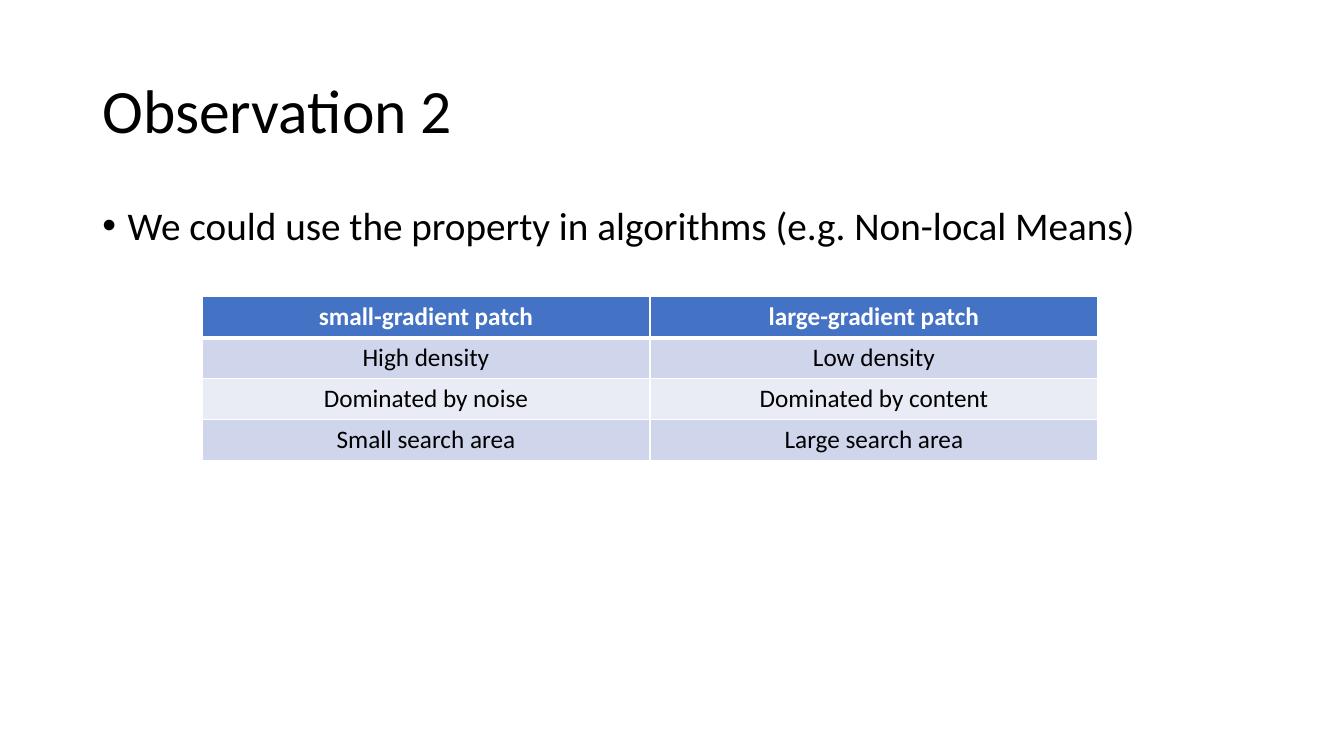
from lxml.etree import SubElement
from pptx import Presentation
from pptx.dml.color import RGBColor
from pptx.enum.text import MSO_ANCHOR as Anchor, PP_ALIGN as Align
from pptx.oxml.ns import qn
from pptx.util import Cm, Pt

FONT = "Calibri"
BLACK, WHITE = "000000", "FFFFFF"
HEADER_FILL = "4472C4"
BAND_FILLS = ["CFD5EA", "E9EBF5"]
PATCH_ROWS = [
    ["small-gradient patch", "large-gradient patch"],
    ["High density", "Low density"],
    ["Dominated by noise", "Dominated by content"],
    ["Small search area", "Large search area"],
]


def rgb(color):
    return RGBColor.from_string(color)


def write(text_frame, text, size, color=BLACK, bold=False, **paragraph_format):
    """Fill the first paragraph with one formatted run and return it."""
    paragraph = text_frame.paragraphs[0]
    for name, value in paragraph_format.items():
        setattr(paragraph, name, value)
    run = paragraph.add_run()
    run.text = text
    for name, value in {"name": FONT, "size": Pt(size), "bold": bold}.items():
        setattr(run.font, name, value)
    run.font.color.rgb = rgb(color)
    return paragraph


def add_text_frame(slide, box, anchor):
    text_frame = slide.shapes.add_textbox(*map(Cm, box)).text_frame
    text_frame.word_wrap = True
    text_frame.vertical_anchor = anchor
    return text_frame


def add_title(slide, box, text):
    write(add_text_frame(slide, box, Anchor.MIDDLE), text, 44, line_spacing=0.9)


def add_bullet(slide, box, text):
    paragraph = write(add_text_frame(slide, box, Anchor.TOP), text, 28,
                      line_spacing=0.9, space_before=Pt(10))
    properties = paragraph._p.get_or_add_pPr()
    indent = Cm(0.64)
    properties.set("marL", str(indent))
    properties.set("indent", str(-indent))
    SubElement(properties, qn("a:buFont"), typeface="Arial")
    SubElement(properties, qn("a:buChar"), char="•")


def set_borders(cell, widths):
    """Draw white borders; widths maps a side (L, R, T, B) to points."""
    properties = cell._tc.get_or_add_tcPr()
    for side, width in widths.items():
        line = SubElement(properties, qn(f"a:ln{side}"), w=str(Pt(width)))
        fill = SubElement(line, qn("a:solidFill"))
        SubElement(fill, qn("a:srgbClr"), val=WHITE)


def add_patch_table(slide, box, rows):
    frame = slide.shapes.add_table(len(rows), len(rows[0]), *map(Cm, box))
    for row_index, texts in enumerate(rows):
        header = row_index == 0
        fill = HEADER_FILL if header else BAND_FILLS[(row_index - 1) % 2]
        widths = {"L": 1, "R": 1, "T": 3 if row_index == 1 else 1,
                  "B": 3 if header else 1}
        for column_index, text in enumerate(texts):
            cell = frame.table.cell(row_index, column_index)
            set_borders(cell, widths)
            cell.fill.solid()
            cell.fill.fore_color.rgb = rgb(fill)
            write(cell.text_frame, text, 18, WHITE if header else BLACK,
                  bold=header, alignment=Align.CENTER)


def main():
    presentation = Presentation()
    presentation.slide_width, presentation.slide_height = Cm(33.87), Cm(19.05)
    slide = presentation.slides.add_slide(presentation.slide_layouts[6])
    left, width = 2.33, 29.21
    add_title(slide, (left, 1.01, width, 3.68), "Observation 2")
    add_bullet(slide, (left, 5.07, width, 12.09),
               "We could use the property in algorithms (e.g. Non-local Means)")
    add_patch_table(slide, (5.09, 7.48, 22.58, 4.12), PATCH_ROWS)
    presentation.save("out.pptx")


if __name__ == "__main__":
    main()
